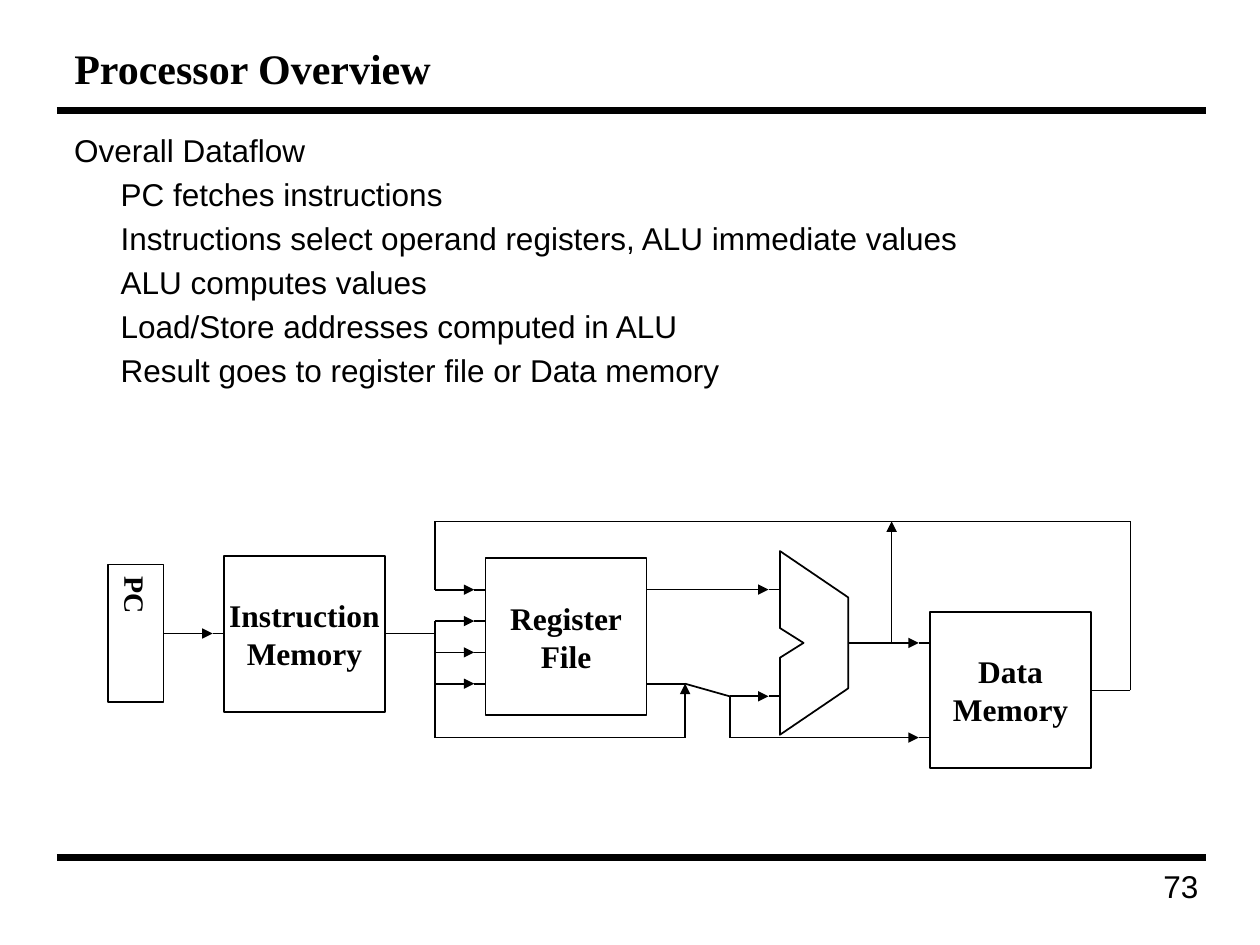
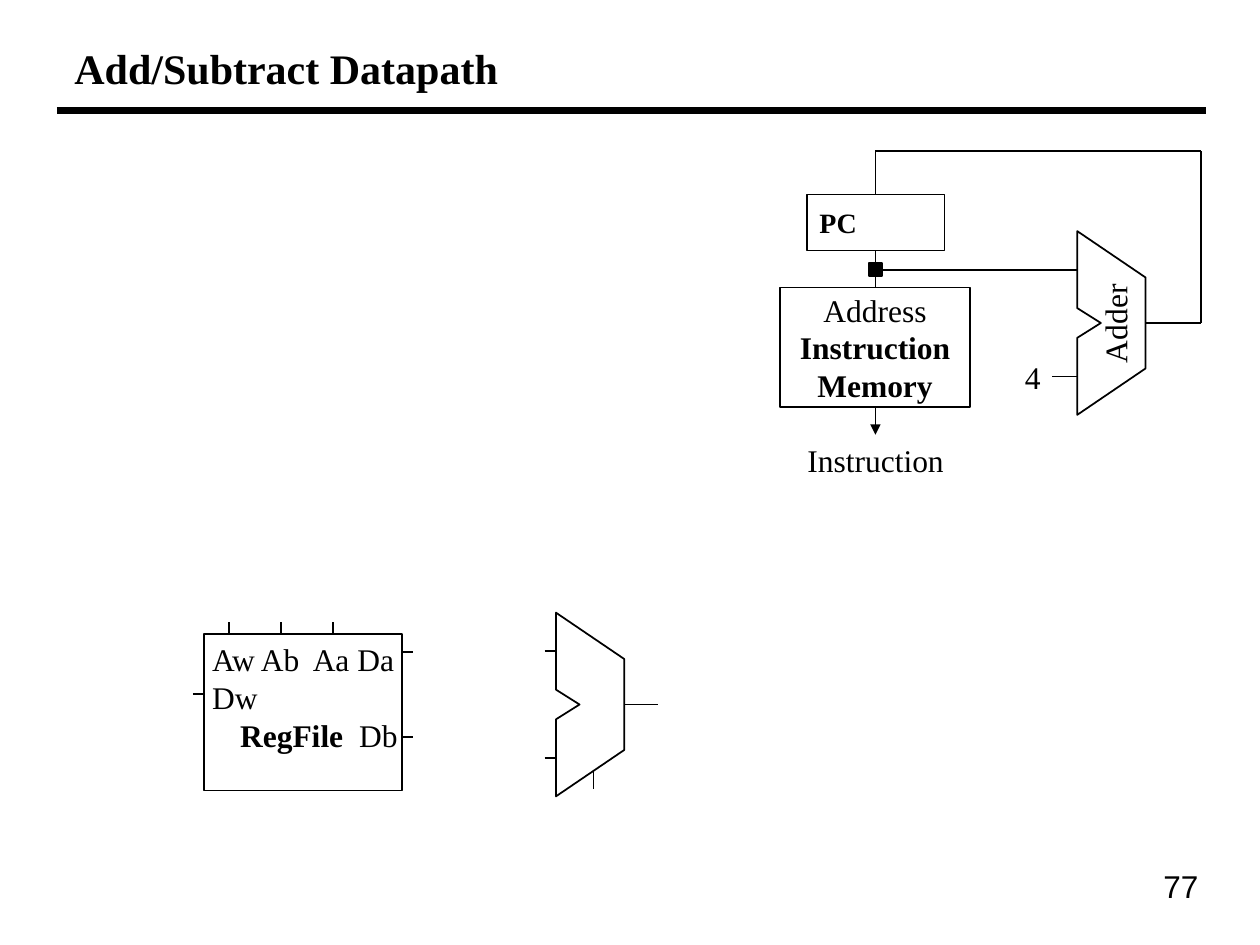
from itertools import pairwise

from pptx import Presentation
from pptx.dml.color import RGBColor
from pptx.enum.shapes import MSO_CONNECTOR as CONN, MSO_SHAPE as SHAPE
from pptx.enum.text import MSO_ANCHOR as ANCHOR, MSO_AUTO_SIZE as AUTO, PP_ALIGN as ALIGN
from pptx.oxml.ns import qn
from pptx.util import Pt

BLACK = RGBColor(0, 0, 0)
WHITE = RGBColor(255, 255, 255)
SERIF, SANS = "Times New Roman", "Arial"
TITLE_ONLY = 5
STUB = 6.5
PORT = 30.5
ALU_W, ALU_H = 39, 105
BLOCK_W, BLOCK_H = 92, 89.5
PLACEHOLDER_INSETS = (7.2, 3.6, 7.2, 3.6)


def put(obj, **values):
    for name, value in values.items():
        setattr(obj, name, value)


def bold(*lines):
    return [[(line, True)] for line in lines]


def plain(*lines):
    return [[(line, False)] for line in lines]


class Deck:
    def __init__(self):
        self.prs = Presentation()
        put(self.prs, slide_width=Pt(720), slide_height=Pt(540))
        self.s = None

    def slide(self, title, number, footer_rule=True):
        self.s = self.prs.slides.add_slide(self.prs.slide_layouts[TITLE_ONLY])
        self.wire((32.5, 63.4), (689, 63.4), width=4)
        if footer_rule:
            self.wire((32.5, 490.3), (689, 490.3), width=4)
        sp = self.s.shapes.title
        put(sp, left=Pt(35.3), top=Pt(18), width=Pt(651), height=Pt(41.8))
        self.text(sp, bold(title), size=24, align=ALIGN.LEFT, insets=PLACEHOLDER_INSETS)
        self.label(544.3, 491.8, 147.6, 35.3, plain(number), font=SANS,
                   align=ALIGN.RIGHT, anchor=ANCHOR.TOP, insets=PLACEHOLDER_INSETS)

    def text(self, sp, lines, size=18, font=SERIF, align=ALIGN.CENTER,
             anchor=ANCHOR.MIDDLE, insets=(0, 0, 0, 0)):
        tf = sp.text_frame
        put(tf, word_wrap=True, auto_size=AUTO.NONE, vertical_anchor=anchor)
        put(tf, **{f"margin_{side}": Pt(inset) for side, inset
                   in zip(("left", "top", "right", "bottom"), insets)})
        for i, runs in enumerate(lines):
            p = tf.add_paragraph() if i else tf.paragraphs[0]
            p.alignment = align
            for content, is_bold in runs:
                r = p.add_run()
                r.text = content
                put(r.font, name=font, size=Pt(size), bold=is_bold)
                r.font.color.rgb = BLACK
        return sp

    def label(self, x, y, w, h, lines, **fmt):
        sp = self.s.shapes.add_textbox(Pt(x), Pt(y), Pt(w), Pt(h))
        return self.text(sp, lines, **fmt)

    def outline(self, sp, fill=WHITE):
        sp.shadow.inherit = False
        sp.fill.solid()
        sp.fill.fore_color.rgb = fill
        sp.line.color.rgb = BLACK
        sp.line.width = Pt(1)
        return sp

    def box(self, x, y, w, h, lines=(), fill=WHITE, **fmt):
        sp = self.s.shapes.add_shape(SHAPE.RECTANGLE, Pt(x), Pt(y), Pt(w), Pt(h))
        return self.text(self.outline(sp, fill), lines, **fmt)

    def alu(self, x, mid):
        points = [(0, -ALU_H / 2), (ALU_W, -26), (ALU_W, 26), (0, ALU_H / 2),
                  (0, 8.5), (13.5, 0), (0, -8.5)]
        points = [(Pt(x + dx), Pt(mid + dy)) for dx, dy in points]
        builder = self.s.shapes.build_freeform(*points[0])
        builder.add_line_segments(points[1:], close=True)
        return self.outline(builder.convert_to_shape())

    def wire(self, *points, arrow=False, width=1):
        for start, end in pairwise(points):
            c = self.s.shapes.add_connector(CONN.STRAIGHT, *map(Pt, start + end))
            c.line.color.rgb = BLACK
            c.line.width = Pt(width)
            props = c._element.spPr
            props.append(props.makeelement(qn("a:effectLst"), {}))
        if arrow:
            ln = c.line._get_or_add_ln()
            ln.append(ln.makeelement(qn("a:tailEnd"), {"type": "triangle"}))

    def feed(self, *points):
        x, y = points[-1]
        self.wire(*points[:-1], (x - STUB, y), arrow=True)
        self.wire((x - STUB, y), (x, y))

    def tabs(self, p, *stops):
        props = p._p.get_or_add_pPr()
        tab_list = props.makeelement(qn("a:tabLst"), {})
        props.append(tab_list)
        for stop in stops:
            tab_list.append(tab_list.makeelement(
                qn("a:tab"), {"pos": str(Pt(stop)), "algn": "l"}))


def processor_overview(d):
    d.slide("Processor Overview", "73")
    body = d.label(35.3, 71.3, 651, 300, plain(
        "Overall Dataflow",
        "PC fetches instructions",
        "Instructions select operand registers, ALU immediate values",
        "ALU computes values",
        "Load/Store addresses computed in ALU",
        "Result goes to register file or Data memory",
    ), font=SANS, align=ALIGN.LEFT, anchor=ANCHOR.TOP, insets=PLACEHOLDER_INSETS)
    for p in body.text_frame.paragraphs[1:]:
        p.space_before = Pt(3.6)
        p._p.get_or_add_pPr().set("marL", str(Pt(26.6)))

    pc_x, pc_w, imem_x, regs_x, alu_x, dmem_x = 61.5, 32, 128, 277.5, 445.7, 531.5
    fetch_y, alu_y, top_y, bottom_y = 362, 367.4, 298, 421.5
    bus_x, operand_x, store_x, result_x, load_x = 248.75, 391.5, 417, 509.5, 646
    ports = [337 + 17.9 * i for i in range(4)]
    upper, lower = alu_y - PORT, alu_y + PORT

    pc = d.box(pc_x, 322.5, pc_w, 78.5, bold("PC"), size=16, align=ALIGN.LEFT,
               insets=(0, 7.2, 0, 0))
    pc.text_frame._txBody.bodyPr.set("vert", "vert")
    for x, y, name in ((imem_x, 317.5, "Instruction"), (dmem_x, 349.5, "Data")):
        d.box(x, y, BLOCK_W, BLOCK_H, bold(name, "Memory"))
    d.box(regs_x, 319, BLOCK_W, BLOCK_H, bold("Register", "File"))
    d.alu(alu_x, alu_y)

    regs_right = regs_x + BLOCK_W
    d.feed((pc_x + pc_w, fetch_y), (imem_x, fetch_y))
    d.wire((imem_x + BLOCK_W, fetch_y), (bus_x, fetch_y))
    for y in ports[1:]:
        d.feed((bus_x, y), (regs_x, y))
    d.wire((bus_x, ports[1]), (bus_x, bottom_y), (operand_x, bottom_y),
           (operand_x, ports[3]), arrow=True)
    d.feed((regs_right, upper), (alu_x, upper))
    d.feed((regs_right, ports[3]), (operand_x, ports[3]), (store_x, lower), (alu_x, lower))
    d.feed((store_x, lower), (store_x, bottom_y), (dmem_x, bottom_y))
    d.feed((alu_x + ALU_W, alu_y), (dmem_x, alu_y))
    d.wire((result_x, alu_y), (result_x, top_y), arrow=True)
    d.feed((dmem_x + BLOCK_W, 394.5), (load_x, 394.5), (load_x, top_y),
           (bus_x, top_y), (bus_x, ports[0]), (regs_x, ports[0]))


def add_subtract_datapath(d):
    d.slide("Add/Subtract Datapath", "77", footer_rule=False)

    regs_x, regs_y, regs_w = 116.75, 362.2, 113
    regs = d.box(regs_x, regs_y, regs_w, BLOCK_H, [
        [("Aw Ab\tAa Da", False)],
        [("Dw", False)],
        [("\tRegFile\t", True), ("Db", False)],
    ], align=ALIGN.LEFT, anchor=ANCHOR.TOP, insets=(4.5, 3.6, 0, 0))
    d.tabs(regs.text_frame.paragraphs[0], 57.5)
    d.tabs(regs.text_frame.paragraphs[2], 16, 84)
    d.wire((regs_x - STUB, 396.7), (regs_x, 396.7))
    for i in range(3):
        x = 131 + 29.6 * i
        d.wire((x, regs_y), (x, regs_y - STUB))
    for y in (372.4, 421):
        d.wire((regs_x + regs_w, y), (regs_x + regs_w + STUB, y))

    alu_x, alu_y = 317.7, 402.6
    d.alu(alu_x, alu_y)
    for y in (alu_y - PORT, alu_y + PORT):
        d.wire((alu_x - STUB, y), (alu_x, y))
    d.wire((alu_x + ALU_W, alu_y), (376, alu_y))
    d.wire((339.2, 440.7), (339.2, 450.7))

    pc_x, pc_y, pc_w, pc_h = 461.2, 111.2, 78.5, 32
    imem_y, imem_h, flow_x = 164.2, 68.4, 500.25
    adder_x, adder_y, return_x, return_y = 615.6, 184.6, 686.2, 86.4
    upper, lower = adder_y - PORT, adder_y + PORT
    d.box(pc_x, pc_y, pc_w, pc_h, bold("PC"), size=16, align=ALIGN.LEFT,
          insets=(7.2, 0, 0, 0))
    d.box(445.7, imem_y, 108.7, imem_h, plain("Address") + bold("Instruction", "Memory"))
    d.label(453.6, 248.4, 93.6, 28.8, plain("Instruction"))
    d.label(578.2, 200.9, 23.8, 28.8, plain("4"))
    d.alu(adder_x, adder_y)
    adder = d.label(607, 172, 60, 26, plain("Adder"))
    adder.rotation = 270

    d.wire((flow_x, pc_y + pc_h), (flow_x, imem_y))
    d.box(flow_x - 3.6, upper - 3.6, 7.2, 7.2, fill=BLACK)
    d.wire((flow_x, upper), (adder_x, upper))
    d.wire((601.2, lower), (adder_x, lower))
    d.wire((adder_x + ALU_W, adder_y), (return_x, adder_y), (return_x, return_y),
           (flow_x, return_y), (flow_x, pc_y))
    d.wire((flow_x, imem_y + imem_h), (flow_x, 248.4), arrow=True)


def main():
    d = Deck()
    processor_overview(d)
    add_subtract_datapath(d)
    d.prs.save("out.pptx")


if __name__ == "__main__":
    main()
